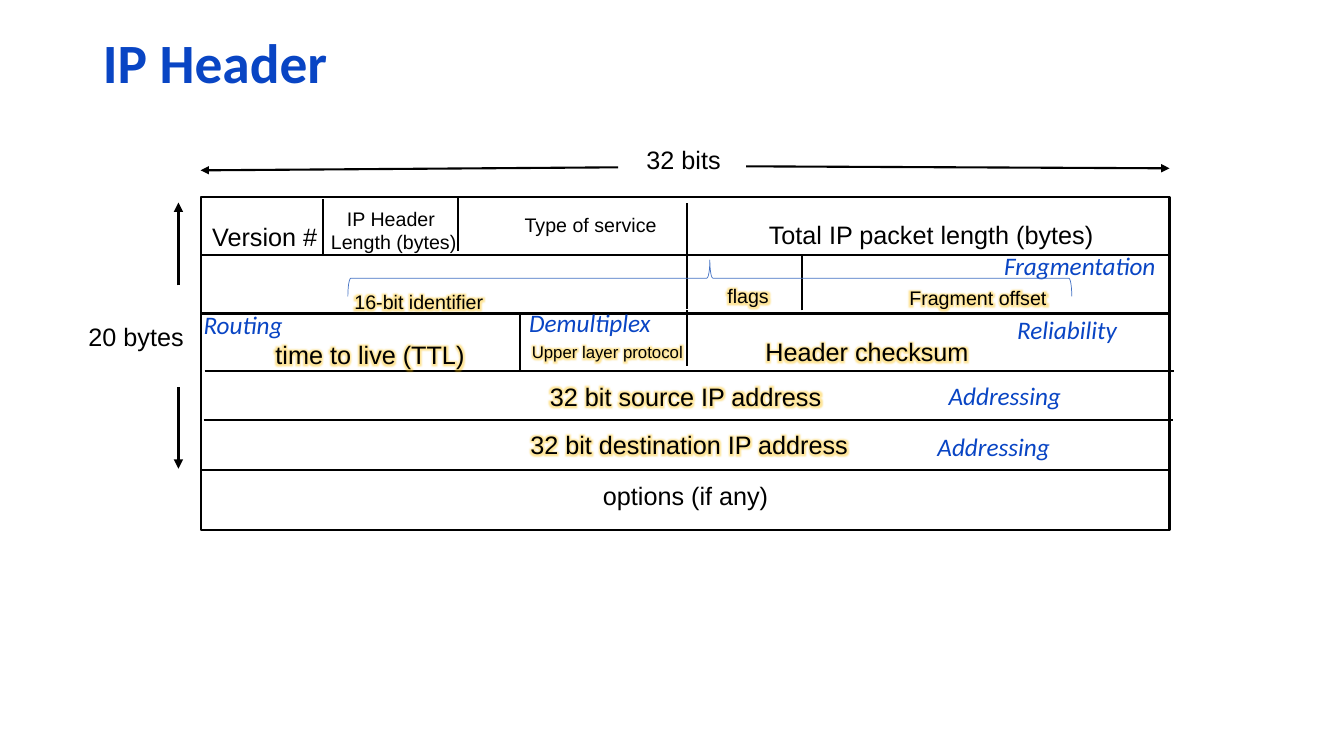
from lxml.etree import SubElement
from pptx import Presentation
from pptx.dml.color import RGBColor
from pptx.enum.shapes import MSO_CONNECTOR as Connector, MSO_SHAPE as Shape
from pptx.enum.text import MSO_ANCHOR as Anchor, MSO_AUTO_SIZE as AutoSize, PP_ALIGN as Align
from pptx.oxml import parse_xml
from pptx.oxml.ns import nsdecls, qn
from pptx.util import Pt

# Content; lengths in px, 100 px to the inch
PX = 9144
BLACK, WHITE, BLUE, BRACE_BLUE, GLOW = "000000", "FFFFFF", "0945C4", "4472C4", "FFC000"
TITLE = ("IP Header", (92, 40, 1150, 51))
FRAME = (199, 195, 961, 331)
BRACE = (686, -83, 36, 718)

# text, box, size, wraps
PLAIN_LABELS = [
    ("32 bits", (631, 138, 94, 40), 18, False),
    ("20 bytes", (77, 314, 116, 40), 18, False),
    ("Version #", (200, 215, 125, 40), 18, False),
    ("IP Header \nLength (bytes)", (318, 200, 145, 57), 14, False),
    ("Type of service ", (484, 206, 209, 34), 14, True),
    ("Total IP packet length (bytes)", (751, 213, 345, 40), 18, False),
    ("options (if any)", (588, 472, 184, 40), 18, False),
]
GLOWING_LABELS = [
    ("16-bit identifier", (298, 283, 235, 34), 14, True),
    ("flags", (700, 277, 84, 34), 14, True),
    ("Fragment offset", (811, 279, 318, 34), 14, True),
    ("time to live (TTL)", (262, 332, 210, 40), 18, False),
    ("Upper layer protocol", (511, 334, 183, 30), 12, True),
    ("Header checksum", (748, 329, 224, 40), 18, False),
    ("32 bit source IP address", (535, 373, 290, 40), 18, False),
    ("32 bit destination IP address", (516, 421, 335, 40), 18, False),
]
# text, left, top, width
PURPOSES = [
    ("Fragmentation", 986, 243, 171),
    ("Reliability", 999, 307, 120),
    ("Routing", 192, 302, 99),
    ("Demultiplex", 515, 300, 142),
    ("Addressing", 931, 372, 133),
    ("Addressing", 920, 423, 133),
]
ROW_RULES = [(199, 253), (199, 311), (203, 368), (202, 417), (200, 466)]  # left, y
FIELD_RULES = [(681, 201), (454, 194), (320, 197), (681, 252),
               (795, 253), (681, 308), (516, 312)]  # x, top
FIELD_HEIGHT = 55
# x1, y1, x2, y2, width in points
ARROWS = [
    (740, 165, 1160, 167, 1.5),
    (613, 166, 199, 169, 1.5),
    (177, 283, 177, 201, 2.25),
    (177, 384, 177, 465, 2.25),
]


def color(value):
    return RGBColor.from_string(value)


def emu(lengths):
    return [length * PX for length in lengths]


def write(frame, text, align, wrap, glow=False, **font_format):
    frame.text = text
    frame.word_wrap = wrap
    for paragraph in frame.paragraphs:
        paragraph.alignment = align
        for run in paragraph.runs:
            run.font.color.rgb = color(font_format["color"])
            for name, value in font_format.items():
                if name != "color":
                    setattr(run.font, name, value)
            if glow:
                effects = parse_xml(
                    f'<a:effectLst {nsdecls("a")}><a:glow rad="101600"><a:srgbClr val="{GLOW}">'
                    '<a:alpha val="40000"/></a:srgbClr></a:glow></a:effectLst>')
                run.font._element.find(qn("a:solidFill")).addnext(effects)


def add_label(text, box, align, wrap, **text_format):
    frame = slide.shapes.add_textbox(*emu(box)).text_frame
    write(frame, text, align, wrap, **text_format)
    frame.auto_size = AutoSize.SHAPE_TO_FIT_TEXT


def add_line(x1, y1, x2, y2, width=1.5, arrow=False):
    connector = slide.shapes.add_connector(Connector.STRAIGHT, *emu((x1, y1, x2, y2)))
    connector.line.color.rgb = color(BLACK)
    connector.line.width = Pt(width)
    if arrow:
        SubElement(connector.line._get_or_add_ln(), qn("a:tailEnd"), type="triangle")
    SubElement(connector._element.spPr, qn("a:effectLst"))


def add_outline(kind, box, line_color, width):
    shape = slide.shapes.add_shape(kind, *emu(box))
    shape.shadow.inherit = False
    shape.line.color.rgb = color(line_color)
    shape.line.width = Pt(width)
    return shape


presentation = Presentation()
presentation.slide_width, presentation.slide_height = emu((1333, 750))
slide = presentation.slides.add_slide(presentation.slide_layouts[5])

# Title
title = slide.shapes.title
title.left, title.top, title.width, title.height = emu(TITLE[1])
write(title.text_frame, TITLE[0], Align.LEFT, True,
      size=Pt(39.6), name="Calibri", bold=True, color=BLUE)
title.text_frame.auto_size = AutoSize.NONE
title.text_frame.vertical_anchor = Anchor.MIDDLE
title.text_frame.paragraphs[0].line_spacing = 0.9

# Header frame with its row and field rules
header = add_outline(Shape.RECTANGLE, FRAME, BLACK, 1.5)
header.fill.solid()
header.fill.fore_color.rgb = color(WHITE)
for left, y in ROW_RULES:
    add_line(left, y, left + FRAME[2], y)
for x, top in FIELD_RULES:
    add_line(x, top + FIELD_HEIGHT, x, top)

# Dimension arrows
for arrow in ARROWS:
    add_line(*arrow, arrow=True)

# Field names and their purposes
for labels, glow in ((PLAIN_LABELS, False), (GLOWING_LABELS, True)):
    for text, box, size, wrap in labels:
        add_label(text, box, Align.CENTER, wrap, glow=glow,
                  size=Pt(size), name="Arial", color=BLACK)
for text, left, top, width in PURPOSES:
    add_label(text, (left, top, width, 40), Align.LEFT, False,
              size=Pt(18), name="Calibri", italic=True, color=BLUE)

# Brace over the fragmentation fields
brace = add_outline(Shape.LEFT_BRACE, BRACE, BRACE_BLUE, 0.5)
brace.fill.background()
brace.rotation = 90

presentation.save("out.pptx")
